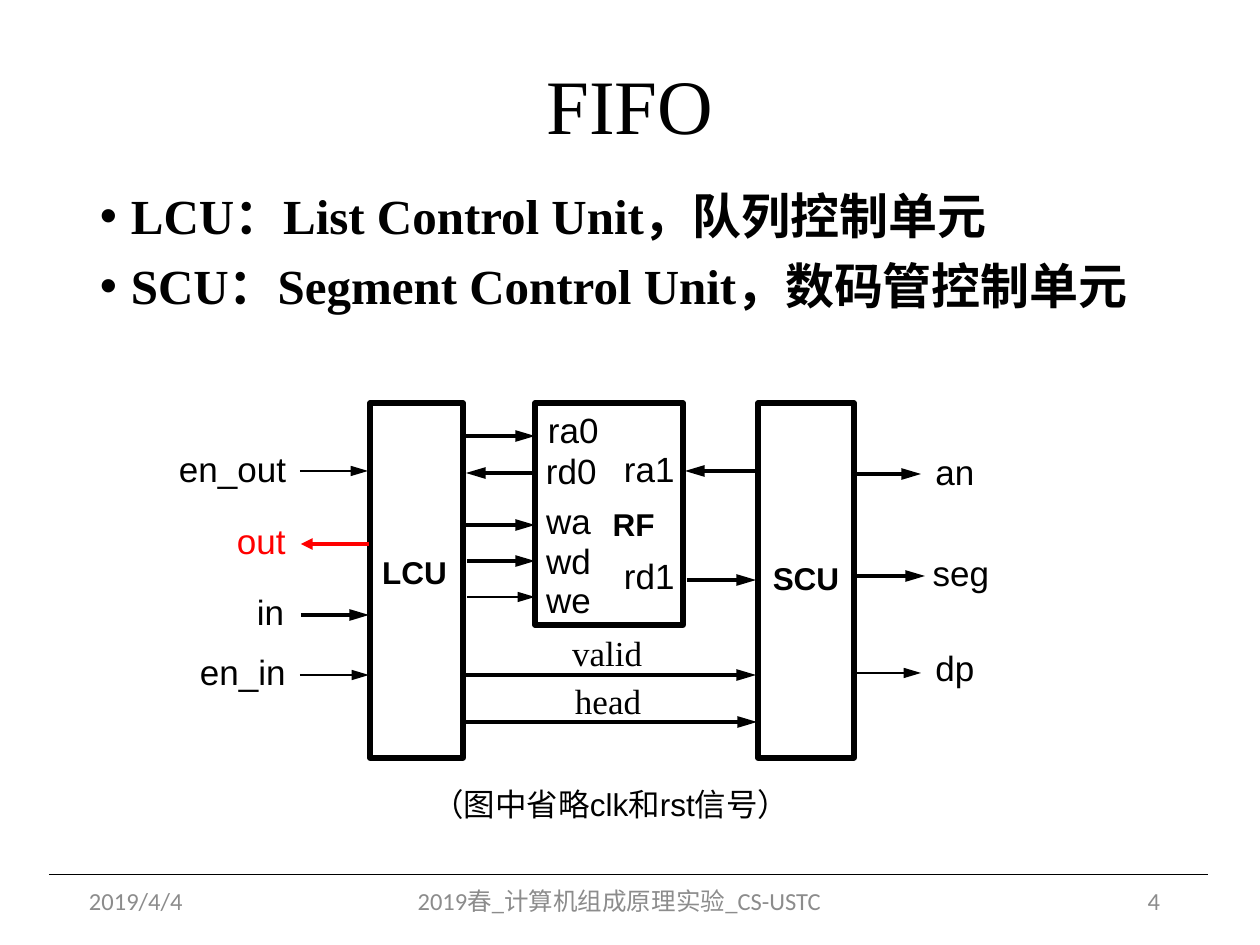
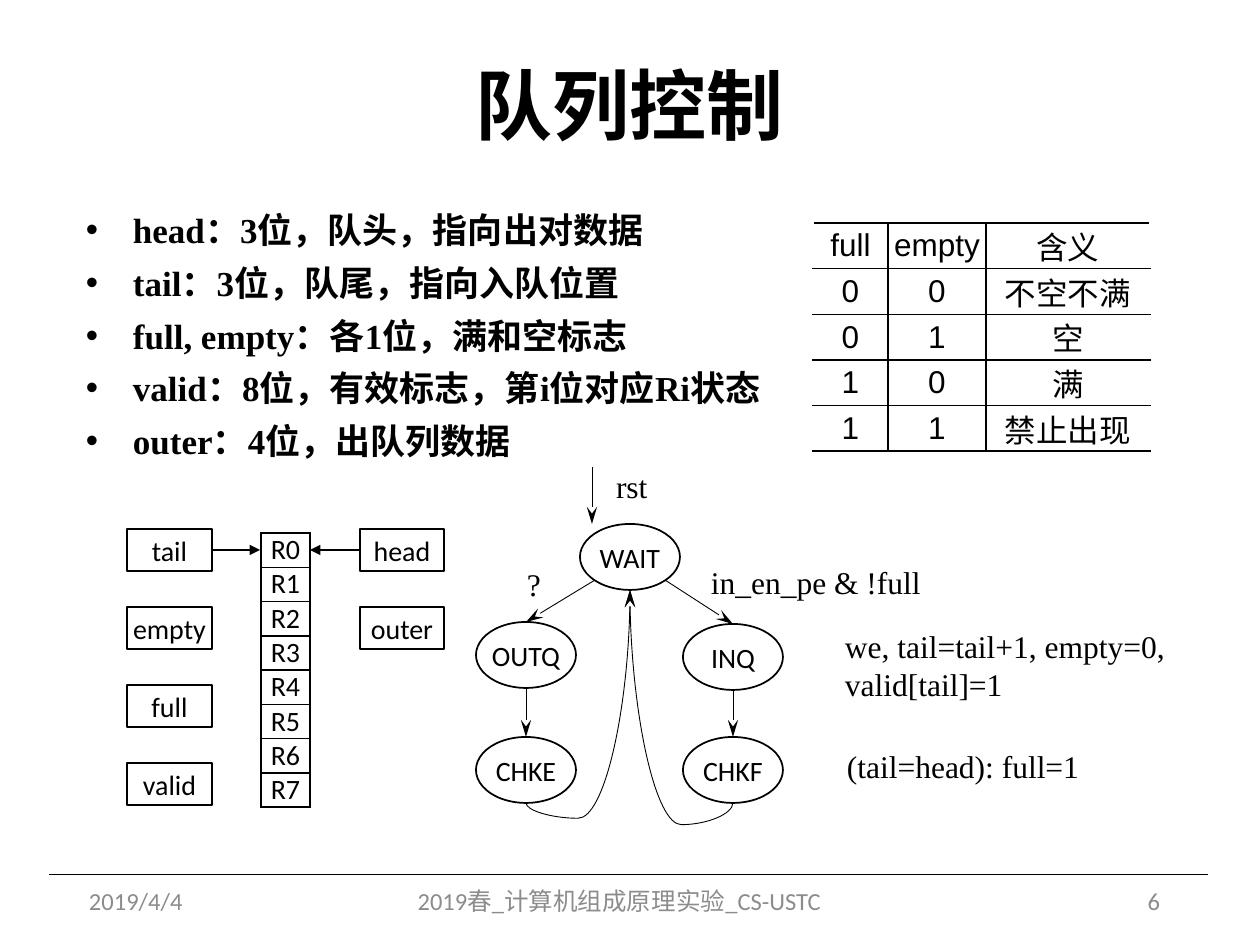
from lxml import etree
from pptx import Presentation
from pptx.dml.color import RGBColor
from pptx.enum.shapes import MSO_CONNECTOR, MSO_SHAPE
from pptx.enum.text import MSO_ANCHOR, MSO_AUTO_SIZE, PP_ALIGN
from pptx.oxml.ns import qn
from pptx.util import Emu, Pt

LEFT, CENTER, RIGHT = PP_ALIGN.LEFT, PP_ALIGN.CENTER, PP_ALIGN.RIGHT
TOP, MIDDLE = MSO_ANCHOR.TOP, MSO_ANCHOR.MIDDLE
NO_AUTOFIT = MSO_AUTO_SIZE.NONE
STRAIGHT, CURVE = MSO_CONNECTOR.STRAIGHT, MSO_CONNECTOR.CURVE
RECTANGLE, ELLIPSE = MSO_SHAPE.RECTANGLE, MSO_SHAPE.OVAL

SCALE = 914400 / 126
TITLE_ONLY = 5
BLACK, GREY, RED = "000000", "8C8C8C", "FF0000"
SERIF, SANS, UI, CJK = "Times New Roman", "Arial", "Calibri", "Noto Sans CJK SC"
THIN, THICK = 1.25, 2.25
PADDING = (13, 6)


def px(length):
    return Emu(round(length * SCALE))


def rgb(value):
    return RGBColor.from_string(value)


def style(name, size, bold=False, color=BLACK, align=LEFT, anchor=MIDDLE,
          inset=(0, 0), wrap=False, bullet=0, **spacing):
    return {
        "font": {"name": name, "size": Pt(size), "bold": bold},
        "color": color,
        "paragraph": {"alignment": align, **spacing},
        "box": {"vertical_anchor": anchor,
                "margin_left": px(inset[0]), "margin_right": px(inset[0]),
                "margin_top": px(inset[1]), "margin_bottom": px(inset[1])},
        "flow": {"auto_size": NO_AUTOFIT, "word_wrap": wrap},
        "bullet": bullet,
    }


def footer_style(align):
    return style(UI, 14, color=GREY, align=align, inset=PADDING, wrap=True)


TITLE = style(SERIF, 44, align=CENTER, inset=PADDING, wrap=True, line_spacing=0.9)
CJK_TITLE = style(CJK, 44, True, align=CENTER, inset=PADDING, wrap=True, line_spacing=0.9)
BODY = style(SERIF, 28, True, anchor=TOP, inset=PADDING, wrap=True, bullet=31,
             line_spacing=0.9, space_before=Pt(10))
FIELDS = style(SERIF, 20, True, anchor=TOP, inset=PADDING, wrap=True, bullet=47,
               space_before=Pt(6))
SIGNAL = style(SANS, 20)
OUTPUT = style(SANS, 20, align=CENTER)
RED_SIGNAL = style(SANS, 20, color=RED)
BLOCK = style(SANS, 18, True, align=CENTER)
CAPTION = style(SANS, 18, align=CENTER)
WIRE = style(SERIF, 20, anchor=TOP, inset=PADDING)
CONDITION = style(SERIF, 18, anchor=TOP, inset=PADDING)
NODE = style(UI, 16, align=CENTER)
REGISTER = style(UI, 16, align=CENTER, anchor=TOP)
TRUTH = style(SANS, 18, align=CENTER)


def apply(target, values):
    for name, value in values.items():
        setattr(target, name, value)


class Deck:
    def __init__(self):
        self.presentation = Presentation()
        apply(self.presentation, {"slide_width": px(1260), "slide_height": px(945)})
        self.slide = None

    def new_slide(self, title, title_style, number):
        layout = self.presentation.slide_layouts[TITLE_ONLY]
        self.slide = self.presentation.slides.add_slide(layout)
        shape = self.slide.shapes.title
        apply(shape, dict(zip(("left", "top", "width", "height"), map(px, (87, 50, 1086, 120)))))
        self.set_text(shape.text_frame, [title], title_style)
        self.line((49, 874), (1208, 874), 0.5)
        self.text("2019/4/4", (76, 876, 295, 50), footer_style(LEFT))
        self.text("2019春_计算机组成原理实验_CS-USTC ", (401, 876, 442, 50), footer_style(CENTER))
        self.text(str(number), (878, 876, 295, 50), footer_style(RIGHT))

    def set_text(self, frame, lines, text_style):
        apply(frame, {**text_style["box"], **text_style["flow"]})
        self.fill_paragraphs(frame, lines, text_style)

    def fill_paragraphs(self, frame, lines, text_style):
        for index, line in enumerate(lines):
            paragraph = frame.add_paragraph() if index else frame.paragraphs[0]
            apply(paragraph, text_style["paragraph"])
            run = paragraph.add_run()
            run.text = line
            apply(run.font, text_style["font"])
            run.font.color.rgb = rgb(text_style["color"])
            etree.SubElement(run._r.get_or_add_rPr(), qn("a:ea"), typeface=CJK)
            if text_style["bullet"]:
                self.bullet(paragraph, px(text_style["bullet"]))

    def bullet(self, paragraph, indent):
        properties = paragraph._p.get_or_add_pPr()
        properties.set("marL", str(indent))
        properties.set("indent", str(-indent))
        etree.SubElement(properties, qn("a:buFont"), typeface=SANS)
        etree.SubElement(properties, qn("a:buChar"), char="•")

    def text(self, content, box, text_style):
        shape = self.slide.shapes.add_textbox(*map(px, box))
        self.set_text(shape.text_frame, content.split("\n"), text_style)

    def outline(self, kind, box, weight, label=""):
        shape = self.slide.shapes.add_shape(kind, *map(px, box))
        shape.shadow.inherit = False
        shape.fill.background()
        shape.line.color.rgb = rgb(BLACK)
        shape.line.width = Pt(weight)
        if label:
            self.set_text(shape.text_frame, [label], NODE)

    def line(self, start, end, weight, head=None, length="med", color=BLACK, kind=STRAIGHT):
        connector = self.slide.shapes.add_connector(kind, *map(px, (*start, *end)))
        connector.line.color.rgb = rgb(color)
        connector.line.width = Pt(weight)
        properties = connector._element.spPr
        if head:
            etree.SubElement(properties.get_or_add_ln(), qn("a:tailEnd"),
                             type=head, w="med", len=length)
        etree.SubElement(properties, qn("a:effectLst"))
        return connector

    def wire(self, start, end, y, weight=THICK):
        self.line((start, y), (end, y), weight, "triangle", "lg")

    def transition(self, start, end):
        self.line(start, end, 0.5, "stealth", "lg")

    def loop_back(self, start, end, bend):
        center_x, center_y = (start[0] + end[0]) / 2, (start[1] + end[1]) / 2
        turned = [(center_x + y - center_y, center_y - x + center_x) for x, y in (start, end)]
        connector = self.line(*turned, 0.5, "stealth", "lg", kind=CURVE)
        properties = connector._element.spPr
        properties.find(qn("a:xfrm")).set("rot", "5400000")
        adjustments = properties.find(qn("a:prstGeom")).find(qn("a:avLst"))
        etree.SubElement(adjustments, qn("a:gd"), name="adj1", fmla=f"val {bend}")

    def table(self, rows, box, widths, text_style, sides):
        frame = self.slide.shapes.add_table(len(rows), len(widths), *map(px, box))
        table = frame.table
        apply(table, {"first_row": False, "horz_banding": False})
        for column, width in zip(table.columns, widths):
            column.width = px(width)
        for row, values in zip(table.rows, rows):
            row.height = px(box[3] / len(rows))
            for index, (cell, value) in enumerate(zip(row.cells, values)):
                apply(cell, text_style["box"])
                self.fill_paragraphs(cell.text_frame, [value], text_style)
                cell.fill.background()
                self.borders(cell, sides[index])

    def borders(self, cell, sides):
        properties = cell._tc.get_or_add_tcPr()
        for position, side in enumerate(sides):
            border = etree.Element(qn(f"a:ln{side}"), w=str(Pt(1)))
            fill = etree.SubElement(border, qn("a:solidFill"))
            etree.SubElement(fill, qn("a:srgbClr"), val=BLACK)
            properties.insert(position, border)


def fifo_slide(deck):
    deck.new_slide("FIFO", TITLE, 4)
    deck.text("LCU：List Control Unit，队列控制单元\nSCU：Segment Control Unit，数码管控制单元",
              (87, 186, 1086, 217), BODY)

    for box in ((370, 403, 93, 355), (535, 403, 148, 222), (758, 403, 96, 355)):
        deck.outline(RECTANGLE, box, 3)
    for name, box in (("LCU", (369, 547, 91, 50)), ("RF", (612, 505, 43, 38)),
                      ("SCU", (760, 553, 92, 50))):
        deck.text(name, box, BLOCK)

    for start, end, y in ((466, 535, 436), (535, 466, 473), (466, 535, 525), (467, 535, 561),
                          (756, 685, 471), (687, 756, 580), (301, 369, 615), (853, 921, 474),
                          (855, 925, 576), (465, 756, 675), (466, 757, 722)):
        deck.wire(start, end, y)
    for start, end, y in ((467, 535, 597), (300, 368, 471), (300, 369, 675), (853, 921, 673)):
        deck.wire(start, end, y, THIN)
    deck.line((369, 544), (301, 544), THICK, "triangle", color=RED)

    for name, left, top, width in (
            ("ra0", 548, 408, 50), ("rd0", 546, 449, 50), ("wa", 546, 499, 45),
            ("wd", 546, 539, 45), ("we", 546, 578, 45), ("ra1", 624, 447, 50),
            ("rd1", 624, 554, 50), ("en_out", 179, 447, 108), ("in", 257, 590, 28),
            ("en_in", 200, 650, 87)):
        deck.text(name, (left, top, width, 43), SIGNAL)
    deck.text("out", (237, 519, 49, 43), RED_SIGNAL)
    for name, left, top in (("an", 930, 450), ("seg", 936, 551), ("dp", 930, 646)):
        deck.text(name, (left, top, 50, 43), OUTPUT)
    deck.text("valid", (559, 625, 96, 55), WIRE)
    deck.text("head", (562, 673, 92, 55), WIRE)
    deck.text("（图中省略clk和rst信号）", (422, 785, 378, 38), CAPTION)


def queue_slide(deck):
    deck.new_slide("队列控制", CJK_TITLE, 6)
    fields = ("head：3位，队头，指向出对数据", "tail：3位，队尾，指向入队位置",
              "full, empty：各1位，满和空标志", "valid：8位，有效标志，第i位对应Ri状态",
              "outer：4位，出队列数据")
    deck.text("\n".join(fields), (73, 203, 718, 267), FIELDS)

    truth = [("full", "empty", "含义"), ("0", "0", "不空不满"), ("0", "1", "空"),
             ("1", "0", "满"), ("1", "1", "禁止出现")]
    deck.table(truth, (813, 223, 337, 228), (75, 98, 164), TRUTH, ("RTB", "LRTB", "LTB"))
    registers = [(f"R{index}",) for index in range(8)]
    deck.table(registers, (261, 533, 49, 273), (49,), REGISTER, ("LRTB",))

    for left, width, names in ((127, 85, ("tail", "empty", "full", "valid")),
                               (360, 84, ("head", "outer"))):
        for index, name in enumerate(names):
            deck.outline(RECTANGLE, (left, 529 + 78 * index, width, 42), 0.75, name)
    deck.line((213, 550), (260, 550), 1, "triangle")
    deck.line((360, 550), (310, 550), 1, "triangle")

    for name, left, top in (("WAIT", 580, 524), ("OUTQ", 476, 622), ("INQ", 683, 624),
                            ("CHKE", 476, 737), ("CHKF", 683, 737)):
        deck.outline(ELLIPSE, (left, top, 100, 66), 1, name)
    for start, end in (((592, 467), (592, 524)), ((595, 580), (526, 622)),
                       ((665, 580), (733, 624)), ((526, 688), (526, 737)),
                       ((733, 690), (733, 737))):
        deck.transition(start, end)
    deck.loop_back((733, 803), (630, 590), -10200)
    deck.loop_back((526, 803), (630, 590), -7200)

    for content, box in (
            ("rst", (603, 461, 57, 50)), ("?", (514, 559, 39, 50)),
            ("in_en_pe & !full", (698, 557, 237, 50)),
            ("we, tail=tail+1, empty=0, \nvalid[tail]=1", (832, 621, 357, 89)),
            ("(tail=head): full=1", (834, 741, 260, 50))):
        deck.text(content, box, CONDITION)


deck = Deck()
fifo_slide(deck)
queue_slide(deck)
deck.presentation.save("out.pptx")
